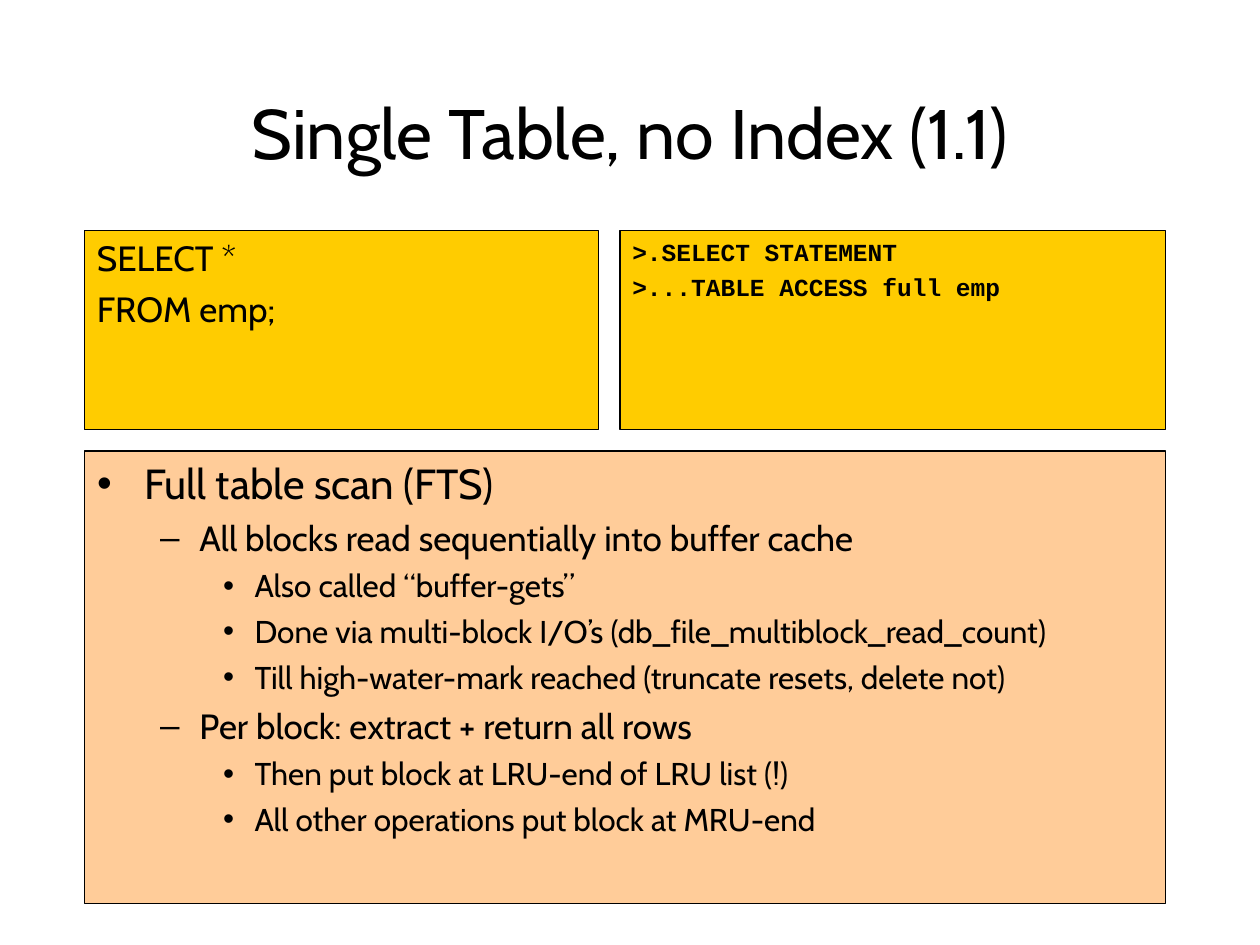
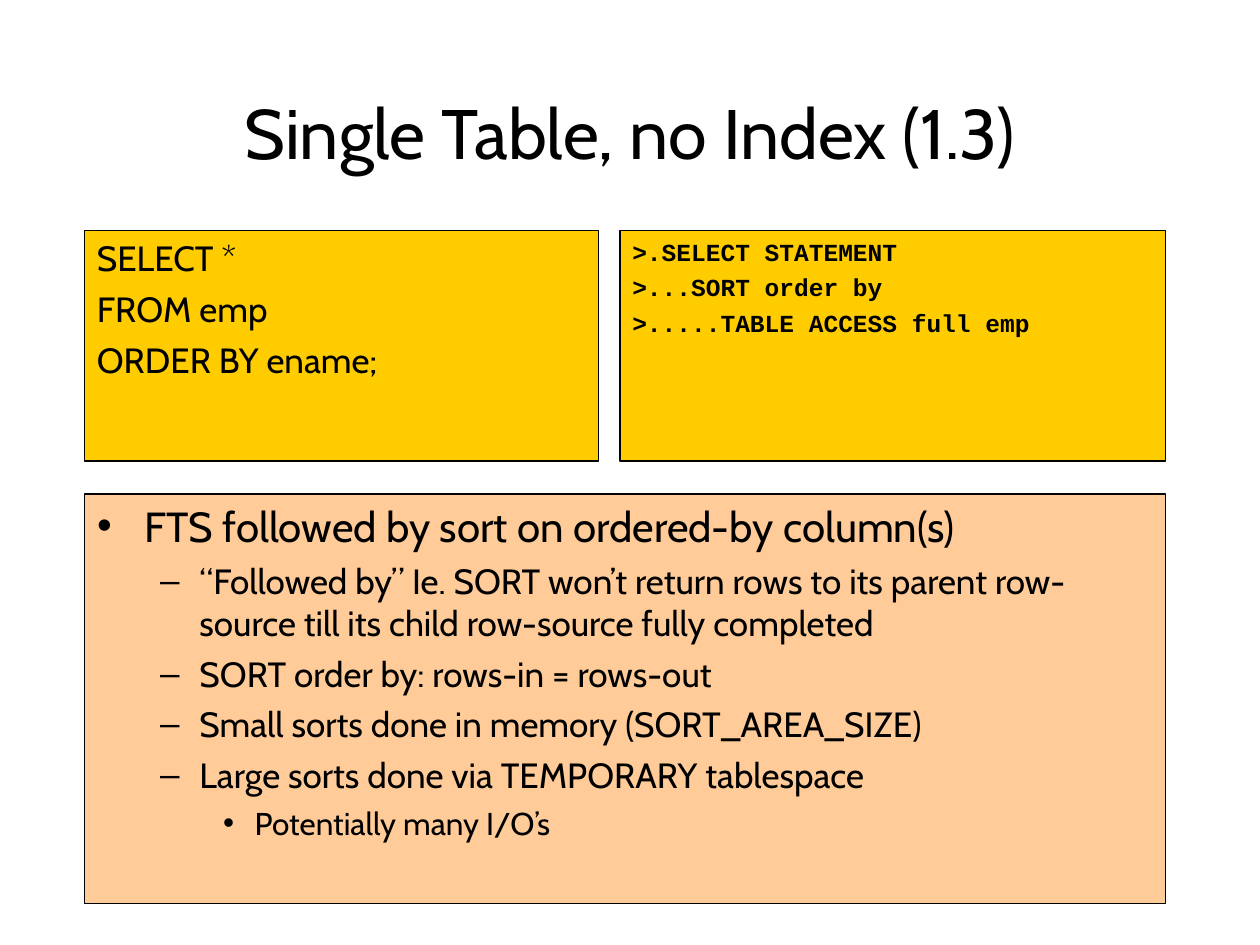
"""Build two slides on single-table queries and their execution plans."""
from dataclasses import dataclass

from pptx import Presentation
from pptx.dml.color import RGBColor
from pptx.enum.shapes import MSO_SHAPE
from pptx.enum.text import MSO_ANCHOR, MSO_AUTO_SIZE, PP_ALIGN
from pptx.util import Inches, Pt


@dataclass(frozen=True)
class Theme:
    """Colours, fonts and type sizes in points."""
    text: RGBColor = RGBColor(0x00, 0x00, 0x00)
    code_fill: RGBColor = RGBColor(0xFF, 0xCC, 0x00)
    list_fill: RGBColor = RGBColor(0xFF, 0xCC, 0x99)
    font: str = "Cabin"
    plan_font: str = "Courier New"
    title_size: float = 40
    query_size: float = 20
    plan_size: float = 14
    list_sizes: tuple = (24, 20, 18)
    space_ratio: float = 0.25
    line_width: float = 0.75


LEFT, RIGHT = 0.67, 9.25
PLAN_LEFT = 4.92
QUERY_WIDTH = 4.08
PANEL_TOP = 1.83
LIST_BOTTOM = 7.17

SLIDES = [
    {
        "title": "Single Table, no Index (1.1)",
        "panel_height": 1.58,
        "list_top": 3.58,
        "query": ["SELECT *", "FROM emp;"],
        "plan": [">.SELECT STATEMENT", ">...TABLE ACCESS full emp"],
        "explanation": [
            (0, "Full table scan (FTS)"),
            (1, "All blocks read sequentially into buffer cache"),
            (2, "Also called “buffer-gets”"),
            (2, "Done via multi-block I/O’s (db_file_multiblock_read_count)"),
            (2, "Till high-water-mark reached (truncate resets, delete not)"),
            (1, "Per block: extract + return all rows"),
            (2, "Then put block at LRU-end of LRU list (!)"),
            (2, "All other operations put block at MRU-end"),
        ],
    },
    {
        "title": "Single Table, no Index (1.3)",
        "panel_height": 1.83,
        "list_top": 3.92,
        "query": ["SELECT *", "FROM emp", "ORDER BY ename;"],
        "plan": [">.SELECT STATEMENT", ">...SORT order by", ">.....TABLE ACCESS full emp"],
        "explanation": [
            (0, "FTS followed by sort on ordered-by column(s)"),
            (1, "“Followed by” Ie. SORT won’t return rows to its parent "
                "row-source till its child row-source fully completed"),
            (1, "SORT order by: rows-in = rows-out"),
            (1, "Small sorts done in memory (SORT_AREA_SIZE)"),
            (1, "Large sorts done via TEMPORARY tablespace"),
            (2, "Potentially many I/O’s"),
        ],
    },
]


class DeckBuilder:
    """Holds the theme and the current slide."""

    def __init__(self, presentation, theme):
        self.presentation = presentation
        self.theme = theme
        self.slide = None

    def add_slide(self):
        """Start a slide with title and body placeholders."""
        self.slide = self.presentation.slides.add_slide(self.presentation.slide_layouts[1])

    def place(self, shape, left, top, width, height):
        """Move and size a shape in inches."""
        shape.left, shape.top = Inches(left), Inches(top)
        shape.width, shape.height = Inches(width), Inches(height)

    def style_box(self, shape, fill):
        """Give a shape its fill and thin outline."""
        shape.fill.solid()
        shape.fill.fore_color.rgb = fill
        shape.line.color.rgb = self.theme.text
        shape.line.width = Pt(self.theme.line_width)

    def style_frame(self, frame, anchor):
        """Fix the wrapping, size and anchor of a text frame."""
        frame.word_wrap = True
        frame.auto_size = MSO_AUTO_SIZE.NONE
        frame.vertical_anchor = anchor

    def style_paragraph(self, paragraph, size, font, bold=False):
        """Set the font of a whole paragraph."""
        paragraph.font.size = Pt(size)
        paragraph.font.name = font
        paragraph.font.bold = bold
        paragraph.font.color.rgb = self.theme.text

    def write_lines(self, frame, lines, sizes, font, bold=False):
        """Write (level, text) lines, sized and spaced by level."""
        self.style_frame(frame, MSO_ANCHOR.TOP)
        for index, (level, text) in enumerate(lines):
            paragraph = frame.add_paragraph() if index else frame.paragraphs[0]
            paragraph.text = text
            paragraph.level = level
            paragraph.alignment = PP_ALIGN.LEFT
            space = sizes[level] * self.theme.space_ratio if index else 0
            paragraph.space_before = Pt(space)
            self.style_paragraph(paragraph, sizes[level], font, bold)

    def title(self, text):
        """Fill the title placeholder."""
        title = self.slide.shapes.title
        self.place(title, 0.75, 0.67, 8.5, 0.75)
        title.text_frame.text = text
        self.style_frame(title.text_frame, MSO_ANCHOR.MIDDLE)
        paragraph = title.text_frame.paragraphs[0]
        paragraph.alignment = PP_ALIGN.CENTER
        self.style_paragraph(paragraph, self.theme.title_size, self.theme.font)

    def bullet_list(self, lines, top):
        """Fill the body placeholder with a bulleted list."""
        body = self.slide.placeholders[1]
        self.place(body, LEFT, top, RIGHT - LEFT, LIST_BOTTOM - top)
        self.style_box(body, self.theme.list_fill)
        self.write_lines(body.text_frame, lines, self.theme.list_sizes, self.theme.font)

    def code_panel(self, lines, left, width, height, size, font, bold=False):
        """Add a box of code lines."""
        panel = self.slide.shapes.add_shape(
            MSO_SHAPE.RECTANGLE, Inches(left), Inches(PANEL_TOP), Inches(width), Inches(height))
        panel.shadow.inherit = False
        self.style_box(panel, self.theme.code_fill)
        self.write_lines(panel.text_frame, [(0, line) for line in lines], (size,), font, bold)


def main():
    """Build and save the presentation."""
    presentation = Presentation()
    presentation.slide_width, presentation.slide_height = Inches(10), Inches(7.5)
    theme = Theme()
    deck = DeckBuilder(presentation, theme)
    for content in SLIDES:
        height = content["panel_height"]
        deck.add_slide()
        deck.title(content["title"])
        deck.bullet_list(content["explanation"], content["list_top"])
        deck.code_panel(content["plan"], PLAN_LEFT, RIGHT - PLAN_LEFT, height,
                        theme.plan_size, theme.plan_font, bold=True)
        deck.code_panel(content["query"], LEFT, QUERY_WIDTH, height,
                        theme.query_size, theme.font)
    presentation.save("out.pptx")


if __name__ == "__main__":
    main()
